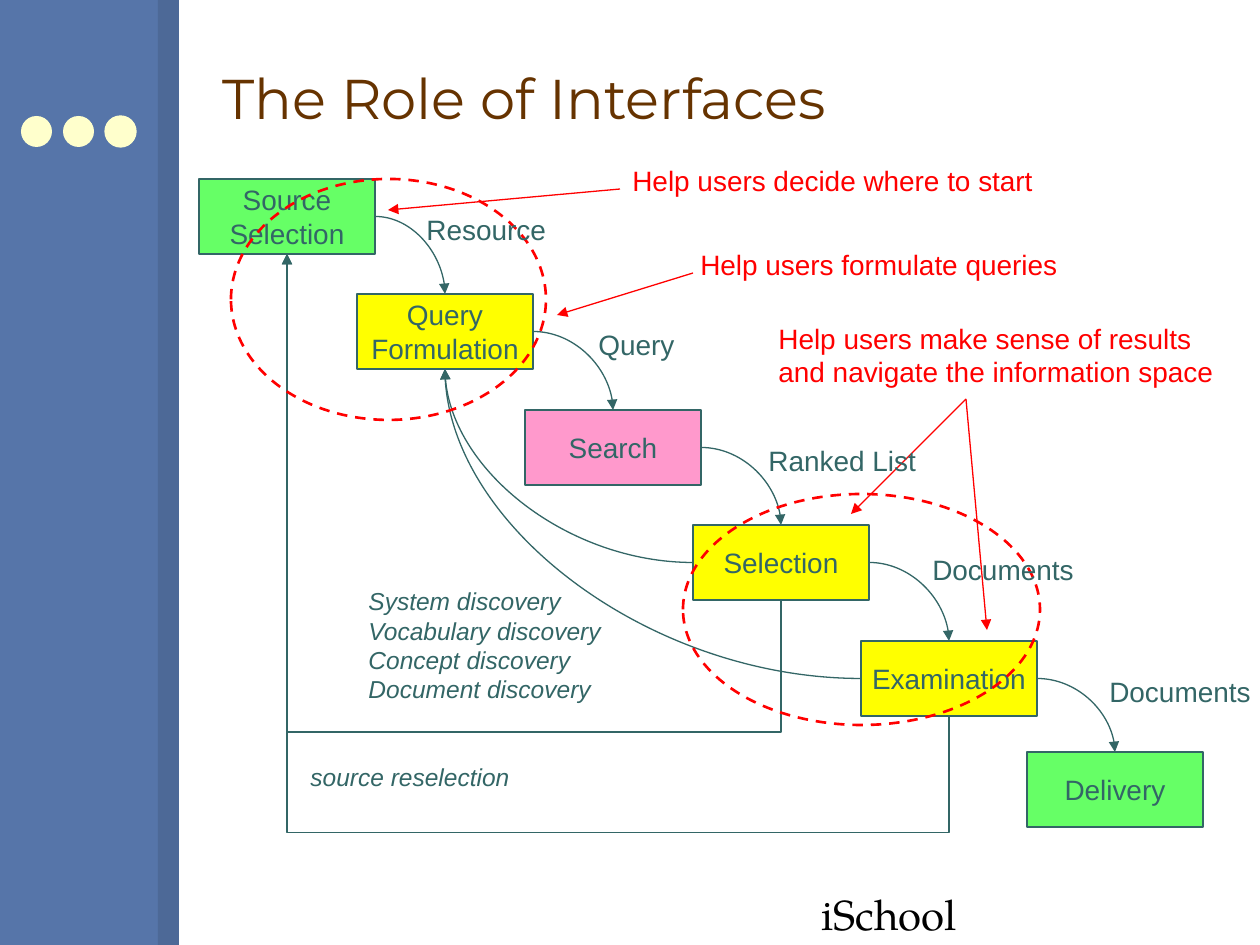
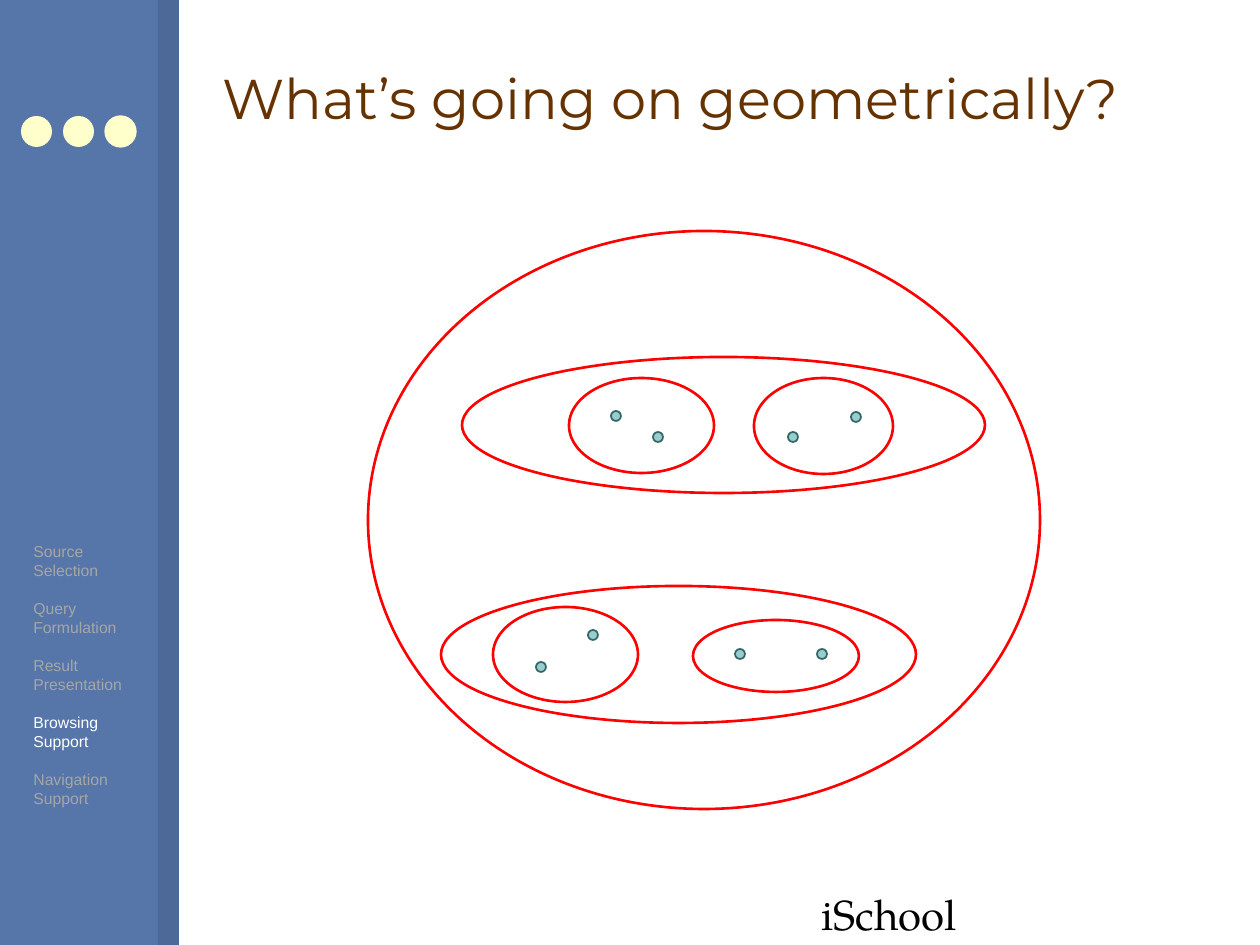
"""Build two slides on search interfaces: the retrieval process and nested clusters."""
import pptx
import pptx.dml.color
import pptx.enum.dml
import pptx.enum.shapes
import pptx.enum.text
import pptx.oxml
import pptx.oxml.ns
import pptx.util
from lxml import etree

PX = 914400 / 126
COLOURS = {
    "band": "5675A9", "edge": "4D6997", "dot": "FFFFCC", "title": "663300",
    "black": "000000", "teal": "336666", "point": "99CCCC", "red": "FF0000",
    "green": "66FF66", "yellow": "FFFF00", "pink": "FF99CC",
    "grey": "A6A6A6", "white": "FFFFFF",
}
RGB = {name: pptx.dml.color.RGBColor.from_string(c) for name, c in COLOURS.items()}
SHAPE = pptx.enum.shapes.MSO_SHAPE
CONNECTOR = pptx.enum.shapes.MSO_CONNECTOR
ALIGN = pptx.enum.text.PP_ALIGN
ANCHOR = pptx.enum.text.MSO_ANCHOR
Pt = pptx.util.Pt
qn = pptx.oxml.ns.qn


def add_shape(s, kind, at, fill=None, line=None, width=0.75):
    """Add a preset shape at px coordinates, with optional fill and line."""
    sp = s.shapes.add_shape(kind, *[round(v * PX) for v in at])
    sp.shadow.inherit = False
    if fill:
        sp.fill.solid()
        sp.fill.fore_color.rgb = RGB[fill]
    else:
        sp.fill.background()
    if line:
        sp.line.color.rgb = RGB[line]
        sp.line.width = Pt(width)
    else:
        sp.line.fill.background()
    return sp


def write(tf, lines, size, colour, font="Arial", italic=False, wrap=False, align=ALIGN.LEFT):
    """Fill a text frame with one paragraph per line."""
    tf.word_wrap = wrap
    for i, line in enumerate(lines):
        p = tf.add_paragraph() if i else tf.paragraphs[0]
        p.alignment = align
        r = p.add_run()
        r.text = line
        r.font.size = Pt(size)
        r.font.name = font
        r.font.italic = italic
        r.font.color.rgb = RGB[colour]


prs = pptx.Presentation()
prs.slide_width = round(1260 * PX)
prs.slide_height = round(945 * PX)

slides = []
for title in ("The Role of Interfaces", "What’s going on geometrically?"):
    s = prs.slides.add_slide(prs.slide_layouts[5])
    slides.append(s)
    add_shape(s, SHAPE.RECTANGLE, (0, 0, 158, 945), "band")
    add_shape(s, SHAPE.RECTANGLE, (158, 0, 21, 945), "edge")
    for x, line in ((21, None), (63, None), (105, "dot")):
        add_shape(s, SHAPE.OVAL, (x, 116, 31, 31), "dot", line)
    tb = s.shapes.add_textbox(*[round(v * PX) for v in (809, 882, 180, 63)])
    write(tb.text_frame, ["iSchool"], 24, "black", "TeX Gyre Pagella")
    ph = s.shapes.title
    ph.left, ph.top, ph.width, ph.height = [round(v * PX) for v in (210, 26, 1008, 142)]
    ph.text_frame.auto_size = pptx.enum.text.MSO_AUTO_SIZE.NONE
    ph.text_frame.vertical_anchor = ANCHOR.MIDDLE
    write(ph.text_frame, [title], 32, "title", "Montserrat", wrap=True)

s = slides[0]
stages = []
for lines, x, y, fill in (
    (["Source", "Selection"], 199, 179, "green"),
    (["Query", "Formulation"], 357, 294, "yellow"),
    (["Search"], 525, 410, "pink"),
    (["Selection"], 693, 525, "yellow"),
    (["Examination"], 861, 641, "yellow"),
    (["Delivery"], 1027, 752, "green"),
):
    sp = add_shape(s, SHAPE.RECTANGLE, (x, y, 176, 75), fill, "teal")
    sp.text_frame.vertical_anchor = ANCHOR.MIDDLE
    write(sp.text_frame, lines, 16, "teal", align=ALIGN.CENTER)
    stages.append(sp)
source, query, search, selection, examination, delivery = stages

arrows = []
curves = [(a, 3, b, 0) for a, b in zip(stages, stages[1:])]
curves += [(examination, 1, query, 2), (selection, 1, query, 2)]
for start, start_site, end, end_site in curves:
    c = s.shapes.add_connector(CONNECTOR.CURVE, 0, 0, 0, 0)
    c.begin_connect(start, start_site)
    c.end_connect(end, end_site)
    c._element.spPr.find(qn("a:prstGeom")).set("prst", "curvedConnector2")
    arrows.append((c, "teal"))

for start, floor in ((examination, 833), (selection, 732)):
    c = s.shapes.add_connector(CONNECTOR.ELBOW, 0, 0, 0, 0)
    c.begin_connect(start, 2)
    c.end_connect(source, 2)
    drop = floor * PX - c.begin_y
    w, h = c.width, c.height
    c.left, c.top = c.left + (w - h) // 2, c.top + (h - w) // 2
    c.width, c.height = h, w
    xfrm = c._element.spPr.find(qn("a:xfrm"))
    xfrm.attrib.pop("flipH", None)
    xfrm.set("flipV", "1")
    xfrm.set("rot", "16200000")
    adjust = c._element.spPr.find(qn("a:prstGeom")).find(qn("a:avLst"))
    etree.SubElement(adjust, qn("a:gd"), name="adj1", fmla=f"val {round(-drop / h * 100000)}")
    arrows.append((c, "teal"))

for ends in (
    (693, 273, 557, 315), (966, 399, 851, 514),
    (620, 189, 388, 210), (966, 399, 987, 630),
):
    c = s.shapes.add_connector(CONNECTOR.STRAIGHT, *[round(v * PX) for v in ends])
    arrows.append((c, "red"))

for c, colour in arrows:
    c.line.color.rgb = RGB[colour]
    c.line.width = Pt(0.75)
    etree.SubElement(c._element.spPr.find(qn("a:ln")), qn("a:tailEnd"), type="triangle")
    etree.SubElement(c._element.spPr, qn("a:effectLst"))

for at in ((231, 179, 315, 241), (683, 494, 357, 231)):
    sp = add_shape(s, SHAPE.OVAL, at, line="red", width=1.5)
    sp.line.dash_style = pptx.enum.dml.MSO_LINE.DASH

discoveries = [f"{kind} discovery" for kind in ("System", "Vocabulary", "Concept", "Document")]
for lines, at, size, colour, italic, wrap in (
    (["Resource"], (414, 206, 155, 47), 16, "teal", False, False),
    (["Query"], (586, 321, 110, 47), 16, "teal", False, False),
    (["Ranked List"], (756, 437, 183, 47), 16, "teal", False, False),
    (["Documents"], (920, 546, 176, 47), 16, "teal", False, False),
    (["Documents"], (1097, 668, 176, 47), 16, "teal", False, False),
    (discoveries, (356, 580, 268, 131), 14, "teal", True, False),
    (["source reselection"], (298, 756, 290, 43), 14, "teal", True, True),
    (["Help users decide where to start"], (620, 157, 436, 47), 16, "red", False, False),
    (["Help users formulate queries"], (688, 241, 392, 47), 16, "red", False, False),
    (["Help users make sense of results and navigate the information space"],
     (766, 315, 470, 81), 16, "red", False, True),
):
    tb = s.shapes.add_textbox(*[round(v * PX) for v in at])
    write(tb.text_frame, lines, size, colour, italic=italic, wrap=wrap)

s = slides[1]
for x, y in (
    (616, 416), (658, 437), (541, 667), (593, 635),
    (793, 437), (856, 417), (740, 654), (822, 654),
):
    add_shape(s, SHAPE.OVAL, (x - 5, y - 5, 10, 10), "point", "teal", 1)
for cluster in (
    (569, 378, 145, 95), (693, 620, 166, 72), (754, 378, 139, 96), (493, 607, 145, 95),
    (462, 357, 523, 136), (441, 586, 475, 137), (368, 231, 672, 578),
):
    add_shape(s, SHAPE.OVAL, cluster, line="red", width=1.5)

tb = s.shapes.add_textbox(*[round(v * PX) for v in (21, 536, 130, 278)])
topics = (("Source", "Selection"), ("Query", "Formulation"), ("Result", "Presentation"),
          ("Browsing", "Support"), ("Navigation", "Support"))
tf = tb.text_frame
tf.word_wrap = False
for i, topic in enumerate(topics):
    p = tf.add_paragraph() if i else tf.paragraphs[0]
    if i:
        p.space_before = Pt(10.8)
    for j, word in enumerate(topic):
        if j:
            p.add_line_break()
        r = p.add_run()
        r.text = word
        r.font.size = Pt(9)
        r.font.name = "Arial"
        r.font.color.rgb = RGB["white" if topic[0] == "Browsing" else "grey"]

prs.save("out.pptx")
